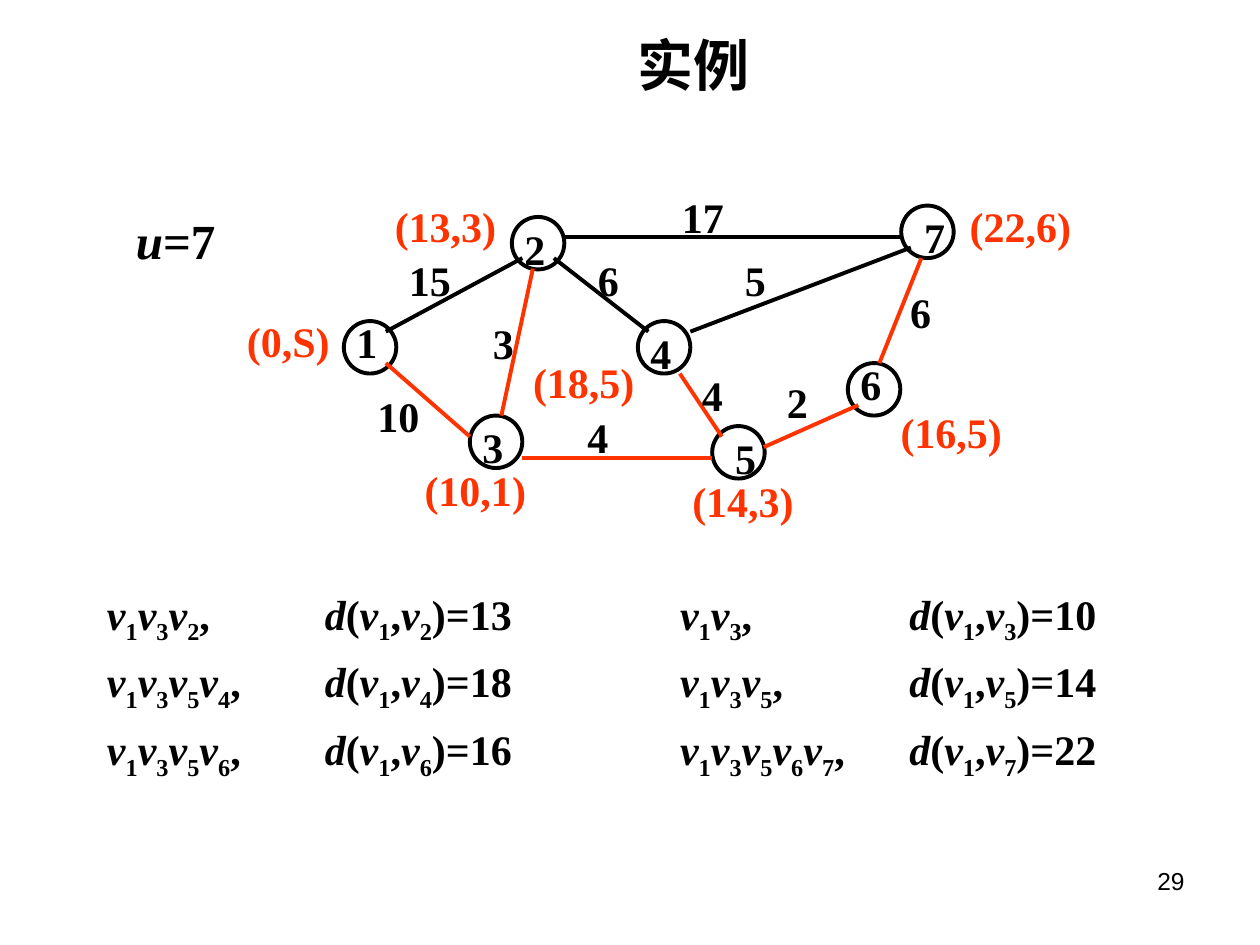
"""Builds the slide with a shortest-path example on a weighted graph."""
from dataclasses import dataclass

from lxml import etree
from pptx import Presentation
from pptx.dml.color import RGBColor
from pptx.enum import shapes, text
from pptx.oxml import ns
from pptx.util import Pt


@dataclass(frozen=True)
class Theme:
    """Holds the colours, fonts and sizes."""
    ink: RGBColor = RGBColor(0, 0, 0)
    red: RGBColor = RGBColor(0xFF, 0x33, 0)
    serif: str = "Times New Roman"
    sans: str = "Arial"
    title: int = 32
    lead: int = 28
    body: int = 24
    foot: int = 14
    line: float = 2.25


THEME = Theme()
SIZE = 30
HIGH = 36
NODES = [
    ("1", 196.5, 183.5, 0, -6), ("2", 292.5, 124, 0, 0),
    ("3", 268.5, 237.5, 0, 0), ("4", 364.5, 183.5, 0, 0),
    ("5", 407, 243.5, 6, 0), ("6", 484.5, 207.5, 0, -6),
    ("7", 515, 117.5, 6, 0),
]
EDGES = [
    (220.5, 189.5, 298.5, 147.5, THEME.ink),
    (220.5, 207.5, 268.5, 249.5, THEME.red),
    (304.5, 153.5, 286.5, 237.5, THEME.red),
    (322.5, 135.5, 515, 135.5, THEME.ink),
    (316.5, 147.5, 370.5, 189.5, THEME.ink),
    (394.5, 189.5, 520.5, 141.5, THEME.ink),
    (388.5, 213.5, 412.5, 249.5, THEME.red),
    (298.5, 261.5, 407, 261.5, THEME.red),
    (436.5, 255.5, 490.5, 231.5, THEME.red),
    (526.5, 147.5, 502.5, 207.5, THEME.red),
]
COSTS = [
    ("15", 226.5, 142), ("10", 208.5, 219.5), ("3", 274.5, 178),
    ("6", 334.5, 142), ("4", 328.5, 231.5), ("4", 394, 207.5),
    ("5", 418.5, 142), ("17", 382.5, 106), ("2", 442.5, 211.5),
    ("6", 513, 160),
]
MARKS = [
    ("(0,S)", 134, 176.5), ("(13,3)", 218.5, 111), ("(10,1)", 235.5, 262),
    ("(18,5)", 297.5, 200), ("(14,3)", 388.5, 268), ("(22,6)", 547, 111),
    ("(16,5)", 507.5, 228.5),
]
ROUTES = [
    [("132", 13), ("13", 10)],
    [("1354", 18), ("135", 14)],
    [("1356", 16), ("13567", 22)],
]
STOPS = (124.5, 327.5, 458.5)


def write(para, words, low=False, tint=THEME.ink, **more):
    """Adds one run with the given format."""
    run = para.add_run()
    run.text = words
    form = dict(name=THEME.serif, size=Pt(THEME.body), bold=True) | more
    for key, val in form.items():
        setattr(run.font, key, val)
    run.font.color.rgb = tint
    if low:
        run.font._element.set("baseline", "-25000")


def frame(slide, left, top, wide, high, **form):
    """Adds a text box and returns its text frame."""
    box = slide.shapes.add_textbox(Pt(left), Pt(top), Pt(wide), Pt(high))
    for key, val in (dict(word_wrap=True) | form).items():
        setattr(box.text_frame, key, val)
    return box.text_frame


def label(slide, words, left, top, wide, high=HIGH, align=None, **form):
    """Adds a text box with one run."""
    para = frame(slide, left, top, wide, high).paragraphs[0]
    para.alignment = align
    write(para, words, **form)


def ring(slide, left, top):
    """Adds the circle of a node."""
    oval = slide.shapes.add_shape(
        shapes.MSO_SHAPE.OVAL, Pt(left), Pt(top), Pt(SIZE), Pt(SIZE))
    oval.shadow.inherit = False
    oval.fill.background()
    oval.line.color.rgb = THEME.ink
    oval.line.width = Pt(THEME.line)


def edge(slide, *ends, tint):
    """Adds a straight edge between two points."""
    line = slide.shapes.add_connector(
        shapes.MSO_CONNECTOR.STRAIGHT, *map(Pt, ends))
    line.line.color.rgb = tint
    line.line.width = Pt(THEME.line)
    etree.SubElement(line._element.spPr, ns.qn("a:effectLst"))


def vertex(para, num):
    """Writes a vertex name with its index."""
    write(para, "v", italic=True)
    write(para, num, low=True)


def route(para, path, cost):
    """Writes a path and its distance."""
    for num in path:
        vertex(para, num)
    write(para, ",\t")
    write(para, "d", italic=True)
    write(para, "(")
    vertex(para, path[0])
    write(para, ",")
    vertex(para, path[-1])
    write(para, f")={cost}")


def tabs(para):
    """Sets the column stops of a paragraph."""
    stops = etree.SubElement(para._p.get_or_add_pPr(), ns.qn("a:tabLst"))
    for stop in STOPS:
        etree.SubElement(stops, ns.qn("a:tab"), pos=str(Pt(stop)), algn="l")


def table(slide):
    """Lists all paths with their distances."""
    body = frame(slide, 54, 332.5, 618.5, 119)
    for row, (left, right) in enumerate(ROUTES):
        para = body.add_paragraph() if row else body.paragraphs[0]
        tabs(para)
        if row:
            para.space_before = Pt(6)
        route(para, *left)
        write(para, "\t")
        route(para, *right)


def graph(slide):
    """Draws the graph with its costs and marks."""
    for name, left, top, dx, dy in NODES:
        ring(slide, left, top)
        label(slide, name, left + dx, top + dy, 24)
    for *ends, tint in EDGES:
        edge(slide, *ends, tint=tint)
    for cost, left, top in COSTS:
        label(slide, cost, left, top, 48)
    for mark, left, top in MARKS:
        label(slide, mark, left, top, 79, tint=THEME.red)


def main():
    """Builds and saves the slide."""
    deck = Presentation()
    deck.slide_width, deck.slide_height = Pt(720), Pt(540)
    slide = deck.slides.add_slide(deck.slide_layouts[6])
    label(slide, "29", 516, 491.5, 168, 37.5, text.PP_ALIGN.RIGHT,
          name=THEME.sans, size=Pt(THEME.foot), bold=False)
    head = frame(slide, 155.5, 20, 481.5, 33,
                 vertical_anchor=text.MSO_ANCHOR.MIDDLE).paragraphs[0]
    head.alignment = text.PP_ALIGN.CENTER
    write(head, "实例", size=Pt(THEME.title))
    table(slide)
    graph(slide)
    lead = frame(slide, 70.5, 116.5, 73.5, 41).paragraphs[0]
    write(lead, "u", italic=True, size=Pt(THEME.lead))
    write(lead, "=7", size=Pt(THEME.lead))
    deck.save("out.pptx")


if __name__ == "__main__":
    main()
